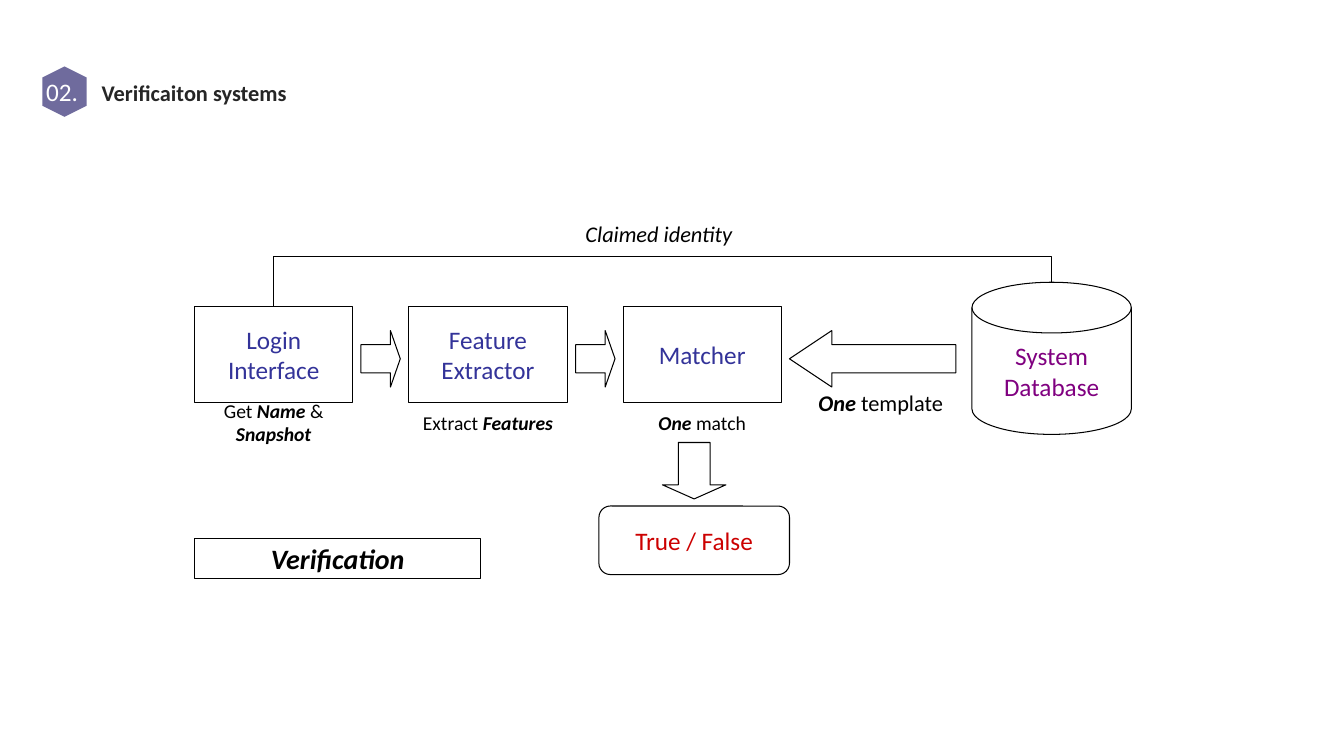
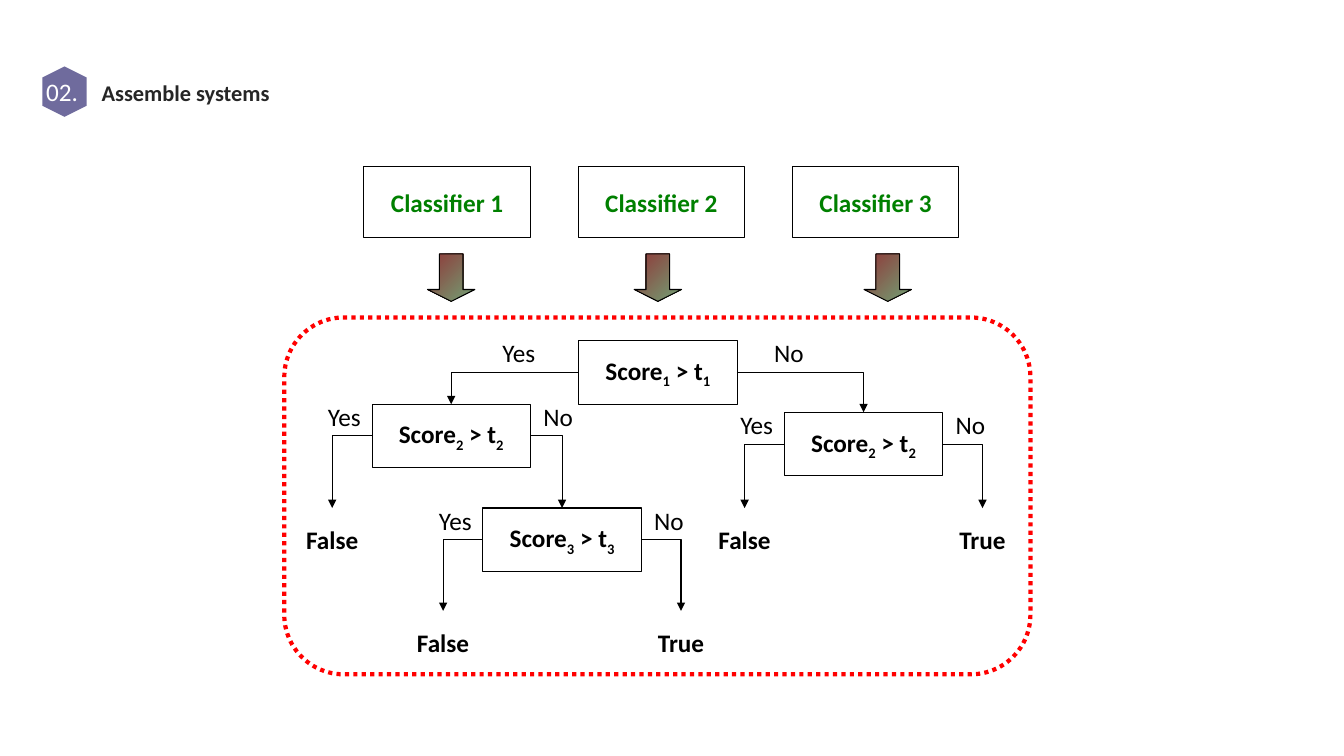
from dataclasses import dataclass

from lxml import etree
from pptx import Presentation
from pptx.dml.color import RGBColor
from pptx.enum import dml, shapes, text
from pptx.oxml.ns import qn
from pptx.util import Inches, Pt


@dataclass(frozen=True)
class Theme:
    font: str = "Calibri"
    black: str = "000000"
    white: str = "FFFFFF"
    title: str = "262626"
    badge: str = "6F6B9D"
    step: str = "333399"
    store: str = "800080"
    result: str = "CC0000"
    voter: str = "008000"
    frame: str = "FF0000"
    warm: str = "903638"
    cool: str = "72A376"
    small: int = 14
    label: int = 16
    body: int = 18
    large: int = 20
    thin: float = 0.75
    thick: float = 3


theme = Theme()
kinds = shapes.MSO_SHAPE
rgb = RGBColor.from_string


def box(slide, kind, area, lines=(), size=theme.body, ink=theme.black,
        fill=theme.white, edge=theme.black, style="", align="CENTER"):
    """Add a shape, or a text box if kind is None.

    A line is a list of (words, style); styles: b bold, i italic, s subscript.
    A plain string is a line in the default style.
    """
    area = [Inches(n) for n in area]
    if kind is None:
        shape = slide.shapes.add_textbox(*area)
    else:
        shape = slide.shapes.add_shape(kind, *area)
        shape.shadow.inherit = False
        if fill:
            shape.fill.solid()
            shape.fill.fore_color.rgb = rgb(fill)
        else:
            shape.fill.background()
        if edge:
            shape.line.color.rgb = rgb(edge)
            shape.line.width = Pt(theme.thin)
        else:
            shape.line.fill.background()
    frame = shape.text_frame
    frame.word_wrap = False
    frame.vertical_anchor = text.MSO_ANCHOR.MIDDLE
    for i, line in enumerate(lines):
        para = frame.add_paragraph() if i else frame.paragraphs[0]
        para.alignment = text.PP_ALIGN[align]
        for words, flags in [(line, style)] if isinstance(line, str) else line:
            run = para.add_run()
            run.text = words
            look = {"name": theme.font, "size": Pt(size),
                    "bold": "b" in flags, "italic": "i" in flags}
            for key, value in look.items():
                setattr(run.font, key, value)
            run.font.color.rgb = rgb(ink)
            if "s" in flags:
                run.font._element.set("baseline", "-25000")
    return shape


def link(slide, ends):
    """Add a thin black elbow line without shadow."""
    line = slide.shapes.add_connector(
        shapes.MSO_CONNECTOR.ELBOW, *[Inches(n) for n in ends])
    line.line.color.rgb = rgb(theme.black)
    line.line.width = Pt(theme.thin)
    etree.SubElement(line._element.spPr, qn("a:effectLst"))
    return line


deck = Presentation()
deck.slide_width, deck.slide_height = Inches(13.33), Inches(7.5)
pages = []
for name, wide in [("Verificaiton systems", 2.42), ("Assemble systems", 2.2)]:
    page = deck.slides.add_slide(deck.slide_layouts[6])
    pages.append(page)
    badge = box(page, kinds.HEXAGON, (0.39, 0.69, 0.5, 0.44),
                fill=theme.badge, edge=None)
    badge.rotation = 90
    heads = [
        ((0.36, 0.71, 0.55, 0.4), "02.", theme.body, theme.white, ""),
        ((0.91, 0.73, wide, 0.37), name, theme.label, theme.title, "b"),
    ]
    for area, words, size, ink, style in heads:
        head = box(page, None, area, [words], size, ink, style=style, align="LEFT")
        head.text_frame.auto_size = text.MSO_AUTO_SIZE.SHAPE_TO_FIT_TEXT

verify, tree = pages
pitch = 2.125

# Verification flow
steps = [
    (["Login", "Interface"],
     [("Get ", ""), ("Name", "bi"), (" & ", ""), ("Snapshot", "bi")]),
    (["Feature", "Extractor"], [("Extract ", ""), ("Features", "bi")]),
    (["Matcher"], [("One", "bi"), (" match", "")]),
]
for i, (lines, note) in enumerate(steps):
    left = 1.93 + i * pitch
    box(verify, kinds.RECTANGLE, (left, 3.04, 1.57, 0.95), lines, ink=theme.step)
    box(verify, None, (left, 3.99, 1.57, 0.4), [note], theme.small)

arrows = [
    (kinds.RIGHT_ARROW, (3.58, 3.28, 0.39, 0.56), 0.25),
    (kinds.RIGHT_ARROW, (5.71, 3.28, 0.39, 0.56), 0.25),
    (kinds.LEFT_ARROW, (7.83, 3.28, 1.65, 0.56), 0.75),
    (kinds.DOWN_ARROW, (6.57, 4.39, 0.63, 0.56), 0.25),
]
for kind, area, tip in arrows:
    box(verify, kind, area).adjustments[1] = tip

box(verify, None, (7.83, 3.83, 1.81, 0.32),
    [[("One", "bi"), (" template", "")]], theme.label)
box(verify, None, (5.63, 2.16, 1.81, 0.32), ["Claimed identity"],
    theme.label, style="i")
box(verify, kinds.ROUNDED_RECTANGLE, (5.94, 5.02, 1.89, 0.68),
    ["True / False"], ink=theme.result)
box(verify, kinds.RECTANGLE, (1.93, 5.34, 2.84, 0.4), ["Verification"],
    theme.large, fill=None, style="bi")

# The claim runs up from the login box and down into the database
claim = link(verify, (6.45, -0.7, 6.69, 7.02))
turn = claim._element.spPr.find(qn("a:xfrm"))
turn.set("rot", "5400000")
turn.set("flipV", "1")
bend = claim._element.spPr.find(qn("a:prstGeom")).find(qn("a:avLst"))
etree.SubElement(bend, qn("a:gd"), name="adj1", fmla="val -207400")
box(verify, kinds.FLOWCHART_MAGNETIC_DISK, (9.64, 2.8, 1.58, 1.51),
    ["System", "Database"], ink=theme.store)

# Classifiers feeding the decision tree
for i, left in enumerate([4.24, 6.29, 8.57]):
    box(tree, kinds.FLOWCHART_PROCESS, (3.61 + i * pitch, 1.65, 1.65, 0.71),
        [f"Classifier {i + 1}"], ink=theme.voter, style="b")
    arrow = box(tree, kinds.DOWN_ARROW, (left, 2.52, 0.47, 0.47))
    arrow.adjustments[1] = 0.25
    arrow.fill.gradient()
    arrow.fill.gradient_angle = 315
    for stop, hue, place in zip(arrow.fill.gradient_stops,
                                (theme.warm, theme.cool), (0, 1)):
        stop.color.rgb = rgb(hue)
        stop.position = place

frame = box(tree, kinds.ROUNDED_RECTANGLE, (2.82, 3.15, 7.4, 3.54),
            fill=None, edge=theme.frame)
frame.line.width = Pt(theme.thick)
frame.line.dash_style = dml.MSO_LINE.ROUND_DOT

# Each test: left, top, number, gaps from the box to its Yes and No
wide, high, tag = 1.57, 0.63, 0.55
tests = {
    "root": (5.74, 3.38, 1, 0.32, 0.24),
    "left": (3.69, 4.01, 2, 0, 0),
    "right": (7.78, 4.09, 2, 0, 0),
    "low": (4.79, 5.04, 3, 0, 0),
}
nodes = {}
for key, (left, top, n, before, after) in tests.items():
    score = [("Score", "b"), (str(n), "bs"), (" > t", "b"), (str(n), "bs")]
    nodes[key] = box(tree, kinds.FLOWCHART_PROCESS, (left, top, wide, high), [score])
    box(tree, None, (left - before - tag, top, tag, 0.24), ["Yes"])
    box(tree, None, (left + wide + after, top, tag, 0.24), ["No"])

# Sides are connection sites: 1 left, 3 right
links = [("root", 1, "left"), ("root", 3, "right"), ("left", 3, "low")]
leaves = [
    ("left", 1, "False", 5.04), ("right", 1, "False", 5.04),
    ("right", 3, "True", 5.04), ("low", 1, "False", 6.06),
    ("low", 3, "True", 6.06),
]
for key, side, words, top in leaves:
    left = tests[key][0] + (side - 2) * 1.18
    nodes[key, side] = box(tree, kinds.FLOWCHART_PROCESS, (left, top, wide, high),
                           [words], fill=None, edge=None, style="b")
    links.append((key, side, (key, side)))

for start, side, goal in links:
    route = link(tree, (0, 0, 1, 1))
    route.begin_connect(nodes[start], side)
    route.end_connect(nodes[goal], 0)
    route._element.spPr.find(qn("a:prstGeom")).set("prst", "bentConnector2")
    etree.SubElement(route.line._get_or_add_ln(), qn("a:tailEnd"), type="triangle")

deck.save("out.pptx")
